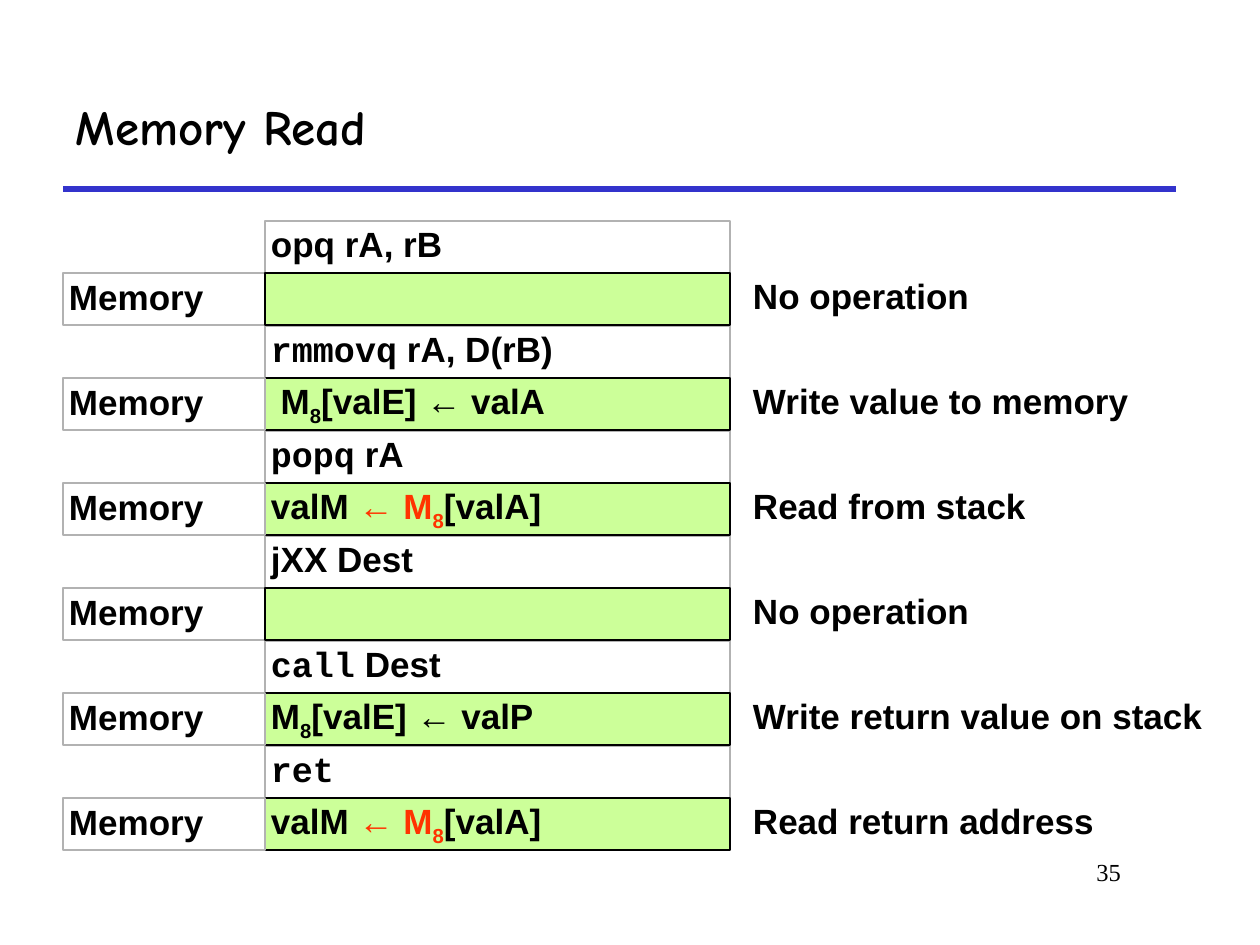
"""Build the Memory Read slide: one pair of rows for each instruction."""
from dataclasses import dataclass
from typing import Optional

from lxml.etree import SubElement
from pptx import Presentation
from pptx.dml.color import RGBColor
from pptx.enum.shapes import MSO_CONNECTOR, MSO_SHAPE
from pptx.enum.text import MSO_ANCHOR, PP_ALIGN
from pptx.oxml.ns import qn
from pptx.util import Emu, Pt

BLACK = RGBColor(0x00, 0x00, 0x00)
BLUE = RGBColor(0x33, 0x33, 0xCC)
GRAY = RGBColor(0xB2, 0xB2, 0xB2)
GREEN = RGBColor(0xCC, 0xFF, 0x99)
RED = RGBColor(0xFF, 0x33, 0x00)
LEFT, MID, RIGHT = 63, 265, 747
WIDE, HIGH = 465, 52
TOP, PITCH = 221, 105
PAD = 6


@dataclass(frozen=True)
class Run:
    text: str
    font: str = "Arial"
    color: RGBColor = BLACK
    size: int = 20
    bold: bool = True
    sub: bool = False


@dataclass(frozen=True)
class Row:
    code: tuple[Run, ...]
    work: tuple[Run, ...]
    note: str


@dataclass(frozen=True)
class Box:
    left: int
    top: int
    width: int
    height: int
    runs: tuple[Run, ...] = ()
    line: Optional[RGBColor] = None
    fill: Optional[RGBColor] = None
    anchor: MSO_ANCHOR = MSO_ANCHOR.TOP
    align: PP_ALIGN = PP_ALIGN.LEFT
    pad: tuple[int, int] = (PAD, PAD)
    lead: Optional[float] = 0.9


def mono(text: str) -> Run:
    return Run(text, "Courier New")


EIGHT = Run("8", sub=True)
LOAD = (Run("valM "), Run("← M", color=RED),
        Run("8", color=RED, sub=True), Run("[valA]"))
ROWS = (
    Row((Run("opq rA, rB"),), (), "No operation"),
    Row((mono("rmmovq"), Run(" rA, D(rB)")),
        (Run(" M"), EIGHT, Run("[valE] ← valA")), "Write value to memory"),
    Row((mono("popq"), Run(" rA")), LOAD, "Read from stack"),
    Row((Run("jXX Dest"),), (), "No operation"),
    Row((mono("call"), Run(" Dest")),
        (Run("M"), EIGHT, Run("[valE] ← valP")), "Write return value on stack"),
    Row((mono("ret"),), LOAD, "Read return address"),
)


def px(count: int) -> Emu:
    return Emu(round(count * 914400 / 126))


def write(frame, box: Box) -> None:
    frame.word_wrap = True
    frame.vertical_anchor = box.anchor
    frame.margin_left = frame.margin_right = px(box.pad[0])
    frame.margin_top = frame.margin_bottom = px(box.pad[1])
    para = frame.paragraphs[0]
    para.alignment = box.align
    if box.lead:
        para.line_spacing = box.lead
        para.space_before = Pt(12.5)
    for item in box.runs:
        run = para.add_run()
        run.text = item.text
        font = run.font
        font.name, font.size, font.bold = item.font, Pt(item.size), item.bold
        font.color.rgb = item.color
        if item.sub:
            font._element.set("baseline", "-25000")


def draw(slide, box: Box) -> None:
    place = [px(n) for n in (box.left, box.top, box.width, box.height)]
    if box.line is None:
        shape = slide.shapes.add_textbox(*place)
    else:
        shape = slide.shapes.add_shape(MSO_SHAPE.RECTANGLE, *place)
        shape.shadow.inherit = False
        shape.line.color.rgb = box.line
        shape.line.width = Pt(1.5)
        if box.fill is None:
            shape.fill.background()
        else:
            shape.fill.solid()
            shape.fill.fore_color.rgb = box.fill
    if box.runs:
        write(shape.text_frame, box)


def rule(slide) -> None:
    line = slide.shapes.add_connector(
        MSO_CONNECTOR.STRAIGHT, px(LEFT), px(189), px(1176), px(189))
    line.line.color.rgb = BLUE
    line.line.width = Pt(3)
    SubElement(line._element.spPr, qn("a:effectLst"))


def main() -> None:
    deck = Presentation()
    deck.slide_width, deck.slide_height = px(1260), px(945)
    slide = deck.slides.add_slide(deck.slide_layouts[6])
    rule(slide)
    draw(slide, Box(955, 851, 179, 63,
                    (Run("35", "Times New Roman", size=14, bold=False),),
                    align=PP_ALIGN.RIGHT, pad=(13, PAD), lead=None))
    draw(slide, Box(LEFT, 63, 1113, 126,
                    (Run("Memory Read", "Comic Neue", size=28),),
                    anchor=MSO_ANCHOR.MIDDLE, pad=(13, PAD), lead=None))
    for i, row in enumerate(ROWS):
        draw(slide, Box(MID, TOP + i * PITCH, WIDE, HIGH, row.code, GRAY))
    for i, row in enumerate(ROWS):
        top = TOP + HIGH + i * PITCH
        stage = Box(LEFT, top, MID - LEFT, HIGH, (Run("Memory"),), GRAY,
                    anchor=MSO_ANCHOR.MIDDLE)
        work = Box(MID, top, WIDE, HIGH, row.work, BLACK, GREEN, lead=0.8)
        for box in (work, stage) if row.work else (stage, work):
            draw(slide, box)
        draw(slide, Box(RIGHT, top, WIDE, HIGH, (Run(row.note),)))
    deck.save("out.pptx")


if __name__ == "__main__":
    main()
